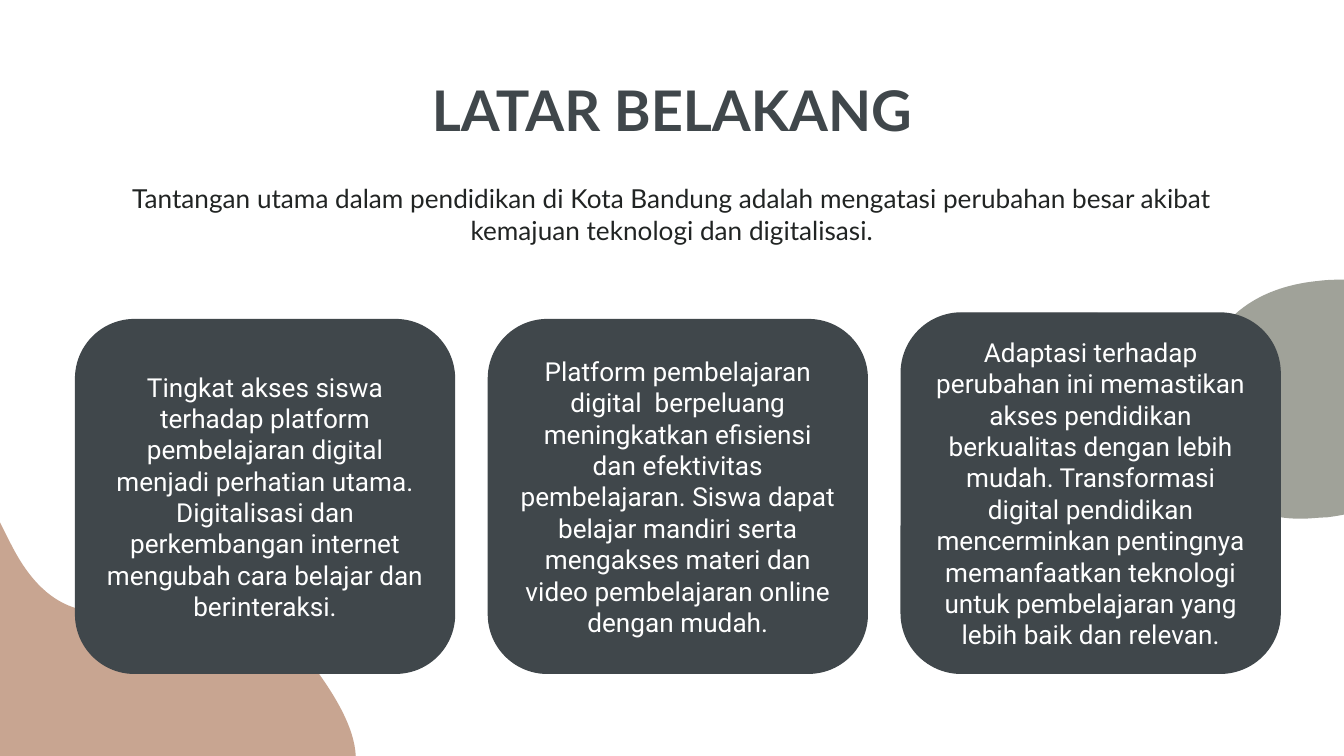
import math
from dataclasses import dataclass

from pptx import Presentation
from pptx.dml.color import RGBColor
from pptx.enum import shapes, text
from pptx.oxml.xmlchemy import OxmlElement
from pptx.util import Pt

COLORS = {
    "slate": "40474B",
    "ink": "212423",
    "white": "FFFFFF",
    "clay": "C8A591",
    "sage": "A0A299",
}
INSET = 7.2
CARD_LEFT, CARD_WIDTH, CARD_PITCH, CARD_BOTTOM = 40.5, 203, 221.15, 360.7


@dataclass
class Blob:
    color: str
    center: tuple[float, float]
    rotation: float
    start: tuple[float, float]
    curves: list[tuple[float, ...]]  # two control points and an end point


@dataclass
class Card:
    top: float
    words: str


@dataclass
class Style:
    font: str
    size: float
    color: str
    bold: bool = False


BLOBS = [
    Blob("clay", (49, 337), 330.6, (-55.4, 224.6), [
        (-52.6, 223.2, -49, 223.2, -44.6, 223.9),
        (-20.2, 227.5, -20.2, 241.2, 5.8, 291.6),
        (48.2, 375.1, 109.4, 277.2, 168.5, 357.8),
        (200.9, 401.8, 196.6, 424.8, 161.3, 444.2),
        (150.5, 450, 137.5, 455.8, 121.7, 461.5),
        (52.6, 487.4, -2.9, 448.6, -29.5, 352.1),
        (-52.6, 271.4, -69.1, 231.8, -55.4, 224.6),
    ]),
    Blob("sage", (713.5, 213.8), 0, (720.7, 149.8), [
        (716.4, 149.8, 711.4, 149.8, 706.3, 150.5),
        (661.7, 154.8, 641.5, 183.6, 640.8, 217.4),
        (647.3, 257, 662.4, 277.9, 697, 277.9),
        (701.3, 277.9, 706.3, 277.2, 710.6, 277.2),
        (754.6, 271.4, 786.2, 250.6, 776.9, 195.1),
        (771.8, 162.7, 755.3, 149.8, 720.7, 149.8),
    ]),
]

CARDS = [
    Card(171.2, "Tingkat akses siswa terhadap platform pembelajaran digital menjadi "
                "perhatian utama. Digitalisasi dan perkembangan internet mengubah cara "
                "belajar dan berinteraksi."),
    Card(171.2, "Platform pembelajaran digital  berpeluang meningkatkan efisiensi dan "
                "efektivitas pembelajaran. Siswa dapat belajar mandiri serta mengakses "
                "materi dan video pembelajaran online dengan mudah."),
    Card(167.7, "Adaptasi terhadap perubahan ini memastikan akses pendidikan berkualitas "
                "dengan lebih mudah. Transformasi digital pendidikan mencerminkan "
                "pentingnya memanfaatkan teknologi untuk pembelajaran yang lebih baik "
                "dan relevan."),
]


def rgb(name: str) -> RGBColor:
    return RGBColor.from_string(COLORS[name])


def place(sp, left: float, top: float, width: float, height: float) -> None:
    sp.left, sp.top, sp.width, sp.height = map(Pt, (left, top, width, height))


def write(sp, words: str, style: Style, anchor) -> None:
    tf = sp.text_frame
    tf.text = words
    tf.word_wrap = True
    tf.auto_size = text.MSO_AUTO_SIZE.NONE
    tf.vertical_anchor = anchor
    tf.margin_left = tf.margin_right = tf.margin_top = tf.margin_bottom = Pt(INSET)
    p = tf.paragraphs[0]
    p.alignment = text.PP_ALIGN.CENTER
    p.space_before = Pt(0)
    font = p.runs[0].font
    font.name, font.size, font.bold = style.font, Pt(style.size), style.bold
    font.color.rgb = rgb(style.color)


def remove_bullet(p) -> None:
    pPr = p._p.get_or_add_pPr()
    pPr.set("marL", "0")
    pPr.set("indent", "0")
    pPr.append(OxmlElement("a:buNone"))


def unrotate(blob: Blob, x: float, y: float) -> tuple[int, int]:
    """Turn a slide point back into the frame of the unrotated shape."""
    angle = math.radians(-blob.rotation)
    (cx, cy), cos, sin = blob.center, math.cos(angle), math.sin(angle)
    dx, dy = x - cx, y - cy
    return Pt(cx + dx * cos - dy * sin), Pt(cy + dx * sin + dy * cos)


def lines_to_curves(sp) -> None:
    """Merge every three line segments into one cubic Bézier segment."""
    lines = sp._element.xpath(".//a:lnTo")
    for i in range(0, len(lines), 3):
        curve = OxmlElement("a:cubicBezTo")
        lines[i].addprevious(curve)
        for line in lines[i:i + 3]:
            curve.append(line[0])
            line.getparent().remove(line)


def draw_blob(s, blob: Blob) -> None:
    points = [unrotate(blob, *curve[i:i + 2]) for curve in blob.curves for i in (0, 2, 4)]
    builder = s.shapes.build_freeform(*unrotate(blob, *blob.start))
    builder.add_line_segments(points, close=True)
    sp = builder.convert_to_shape()
    lines_to_curves(sp)
    sp.rotation = blob.rotation
    sp.shadow.inherit = False
    sp.fill.solid()
    sp.fill.fore_color.rgb = rgb(blob.color)
    sp.line.fill.background()


def draw_card(s, card: Card, left: float) -> None:
    sp = s.shapes.add_shape(shapes.MSO_SHAPE.ROUNDED_RECTANGLE, Pt(left), Pt(card.top),
                            Pt(CARD_WIDTH), Pt(CARD_BOTTOM - card.top))
    sp.shadow.inherit = False
    sp.fill.solid()
    sp.fill.fore_color.rgb = rgb("slate")
    sp.line.color.rgb = rgb("slate")
    sp.line.width = Pt(0.75)
    write(sp, card.words, Style("Roboto", 14, "white"), text.MSO_ANCHOR.MIDDLE)


def main() -> None:
    prs = Presentation()
    prs.slide_width, prs.slide_height = Pt(720), Pt(405)
    s = prs.slides.add_slide(prs.slide_layouts[1])

    # Background blobs
    for blob in BLOBS:
        draw_blob(s, blob)

    # Title and introduction
    title, body = s.shapes.title, s.placeholders[1]
    place(title, 56.2, 41, 607.6, 42.5)
    write(title, "LATAR BELAKANG", Style("Lato", 30, "slate", True),
          text.MSO_ANCHOR.BOTTOM)
    place(body, 56.2, 90.7, 607.6, 46.8)
    write(body, "Tantangan utama dalam pendidikan di Kota Bandung adalah mengatasi "
                "perubahan besar akibat kemajuan teknologi dan digitalisasi.",
          Style("Lato", 14, "ink"), text.MSO_ANCHOR.TOP)
    remove_bullet(body.text_frame.paragraphs[0])

    # Row of cards
    for i, card in enumerate(CARDS):
        draw_card(s, card, CARD_LEFT + i * CARD_PITCH)

    prs.save("out.pptx")


if __name__ == "__main__":
    main()
